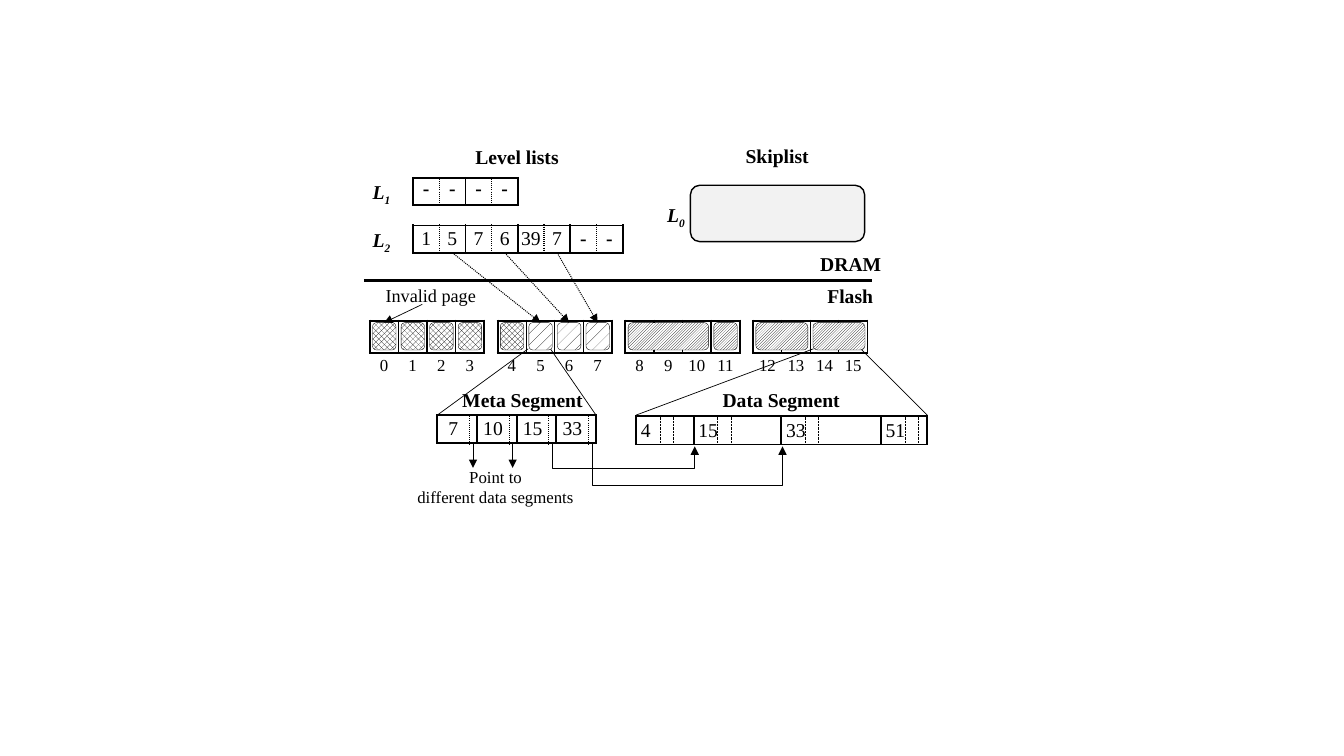
from itertools import accumulate

from lxml.etree import SubElement
from pptx import Presentation
from pptx.dml.color import RGBColor
from pptx.enum.dml import MSO_LINE_DASH_STYLE as Dash, MSO_PATTERN_TYPE as Pattern
from pptx.enum.shapes import MSO_CONNECTOR as Connector, MSO_SHAPE as Shape
from pptx.enum.text import MSO_ANCHOR as Anchor, MSO_AUTO_SIZE as AutoSize, PP_ALIGN as Align
from pptx.oxml.ns import qn
from pptx.util import Cm, Pt

BLACK = RGBColor(0, 0, 0)
WHITE = RGBColor(255, 255, 255)
LIGHT_GRAY = RGBColor(0xF2, 0xF2, 0xF2)
FONT = "Times New Roman"

FLASH_LEFT, FLASH_TOP = 9.32, 8.08
PAGE_WIDTH, BLOCK_STEP, PAGES_PER_BLOCK = 0.72, 3.22, 4
META_LEFT, DATA_LEFT, SEGMENT_TOP = 11.02, 16.03, 10.46
SEGMENT_HEIGHT = 0.71
DATA_WIDTHS = [1.45, 2.21, 2.51, 1.17]
SOLID = (1.5, "solid")
FILLED_RUNS = [
    ("openDmnd", 1, [0, 1, 2, 3, 4]),
    ("pct10", 1, [5, 6, 7]),
    ("ltUpDiag", 3, [8]),
    ("ltUpDiag", 1, [11]),
    ("ltUpDiag", 2, [12, 14]),
]


def style_font(font, size, bold=False, italic=False):
    """Apply the diagram's font."""
    font.name, font.size, font.bold, font.italic = FONT, Pt(size), bold, italic
    font.color.rgb = BLACK


def add_label(slide, left, top, width, text, size=14, bold=True, subscript="",
              height=0.86, align=Align.LEFT, wrap=False):
    """Add a text label, with an optional italic subscript form."""
    box = slide.shapes.add_textbox(Cm(left), Cm(top), Cm(width), Cm(height))
    frame = box.text_frame
    frame.word_wrap = wrap
    frame.auto_size = AutoSize.SHAPE_TO_FIT_TEXT
    frame.text = text
    for paragraph in frame.paragraphs:
        paragraph.alignment = align
        style_font(paragraph.font, size, bold, bool(subscript))
    if subscript:
        run = frame.paragraphs[0].add_run()
        run.text = subscript
        run._r.get_or_add_rPr().set("baseline", "-25000")


def add_line(slide, start, end, width=0.5, dotted=False, arrow=False, kind=Connector.STRAIGHT):
    """Connect two points given in centimetres."""
    line = slide.shapes.add_connector(kind, *(Cm(value) for value in (*start, *end)))
    line.line.width = Pt(width)
    line.line.color.rgb = BLACK
    if dotted:
        line.line.dash_style = Dash.ROUND_DOT
    if arrow:
        SubElement(line._element.spPr.find(qn("a:ln")), qn("a:tailEnd"), type="triangle")
    SubElement(line._element.spPr, qn("a:effectLst"))
    return line


def add_elbow_arrow(slide, start, end, bend_y):
    """Add an arrow that goes down to bend_y, across, and up to its end."""
    (x1, y1), (x2, y2) = start, end
    middle_x, middle_y = (x1 + x2) / 2, (y1 + y2) / 2
    half_width, half_height = (y2 - y1) / 2, (x2 - x1) / 2
    arrow = add_line(slide, (middle_x + half_width, middle_y - half_height),
                     (middle_x - half_width, middle_y + half_height),
                     arrow=True, kind=Connector.ELBOW)
    properties = arrow._element.spPr
    properties.find(qn("a:xfrm")).set("rot", "16200000")
    adjustments = properties.find(qn("a:prstGeom")).find(qn("a:avLst"))
    ratio = round((bend_y - y1) / (y2 - y1) * 100000)
    SubElement(adjustments, qn("a:gd"), name="adj1", fmla=f"val {ratio}")


def set_borders(cell, left, right, edge):
    """Set the four borders of a cell; None hides one."""
    properties = cell._tc.get_or_add_tcPr()
    for index, (side, border) in enumerate(zip("LRTB", (left, right, edge, edge))):
        line = SubElement(properties, qn(f"a:ln{side}"))
        properties.insert(index, line)
        if border is None:
            SubElement(line, qn("a:noFill"))
            continue
        width, dash = border
        line.set("w", str(int(Pt(width))))
        fill = SubElement(line, qn("a:solidFill"))
        SubElement(fill, qn("a:srgbClr"), val=str(BLACK))
        SubElement(line, qn("a:prstDash"), val=dash)


def add_row(slide, left, top, height, widths, texts, rules, size=14, bold=False,
            anchor=Anchor.MIDDLE, align=Align.CENTER, indent=0):
    """Add a one-row table whose vertical rules are listed from left to right."""
    frame = slide.shapes.add_table(1, len(widths), Cm(left), Cm(top), Cm(sum(widths)), Cm(height))
    table = frame.table
    table.first_row = table.horz_banding = False
    table.rows[0].height = Cm(height)
    for index, (width, text) in enumerate(zip(widths, texts)):
        table.columns[index].width = Cm(width)
        cell = table.cell(0, index)
        cell.margin_left = Cm(indent)
        cell.margin_right = cell.margin_top = cell.margin_bottom = 0
        cell.vertical_anchor = anchor
        cell.text = text
        paragraph = cell.text_frame.paragraphs[0]
        paragraph.alignment = align
        style_font(paragraph.font, size, bold or text == "-")
        cell.fill.background()
        set_borders(cell, rules[index], rules[index + 1], rules[0])


def paired_rules(pairs, dotted_width):
    """Return solid rules around pairs of cells split by a dotted rule."""
    return [SOLID, (dotted_width, "sysDot")] * pairs + [SOLID]


def page_left(page):
    """Return the left edge of a flash page."""
    block, column = divmod(page, PAGES_PER_BLOCK)
    return FLASH_LEFT + block * BLOCK_STEP + column * PAGE_WIDTH


def add_level_lists(slide, left, top):
    """Draw the level lists and their pointers into flash."""
    cell_width, cell_height, list_left = 0.66, 0.69, left + 1.27
    add_label(slide, left + 2.59, top, 2.64, "Level lists")
    levels = [(["-"] * 4, Anchor.TOP), (["1", "5", "7", "6", "39", "7", "-", "-"], Anchor.MIDDLE)]
    for index, (texts, anchor) in enumerate(levels):
        row_top = top + 0.95 + index * 1.2
        add_label(slide, left, row_top - 0.06, 0.99, "L", subscript=str(index + 1))
        add_row(slide, list_left, row_top, cell_height, [cell_width] * len(texts), texts,
                paired_rules(len(texts) // 2, 1), anchor=anchor)
    for pair, page in enumerate([5, 6, 7]):
        add_line(slide, (list_left + cell_width * (2 * pair + 1.5), row_top + cell_height),
                 (page_left(page) + PAGE_WIDTH / 2, FLASH_TOP + 0.05), 0.75, dotted=True, arrow=True)


def add_skiplist(slide, left, top):
    """Draw the skiplist with its label."""
    box = slide.shapes.add_shape(Shape.ROUNDED_RECTANGLE, Cm(left + 0.84), Cm(top + 1.16),
                                 Cm(4.39), Cm(1.42))
    box.shadow.inherit = False
    box.fill.solid()
    box.fill.fore_color.rgb = LIGHT_GRAY
    box.line.color.rgb = BLACK
    box.line.width = Pt(1)
    add_label(slide, left + 1.98, top, 2.11, "Skiplist")
    add_label(slide, left, top + 1.49, 0.99, "L", subscript="0")


def add_divider(slide, left, top, width):
    """Draw the line between DRAM and flash."""
    add_line(slide, (left, top), (left + width, top), 2.25)
    add_label(slide, left + 11.25, top - 0.84, 2.06, "DRAM")
    add_label(slide, left + 11.43, top - 0.02, 1.68, "Flash")


def add_zoom(slide, starts, left, right, top):
    """Draw the two lines that enlarge a page range into a segment."""
    for start, end in zip(starts, (left, right)):
        add_line(slide, (start, FLASH_TOP + 0.71), (end, top))


def add_meta_segment(slide, left, top):
    """Draw the meta segment and its arrows to data segments."""
    key_width, pointer_width = 0.81, 0.19
    step = key_width + pointer_width
    texts = ["7", "", "10", "", "15", "", "33", ""]
    add_zoom(slide, (13.31, 13.87), left, left + 4 * step, top)
    add_label(slide, left + 0.38, top - 0.81, 3.58, "Meta Segment")
    add_row(slide, left, top, SEGMENT_HEIGHT, [key_width, pointer_width] * 4, texts,
            paired_rules(4, 0.5))
    starts = [(left + 0.9 + index * step, top + 0.74) for index in range(4)]
    for x, y in starts[:2]:
        add_line(slide, (x, y), (x, y + 0.59), arrow=True)
    data_cells = list(accumulate(DATA_WIDTHS, initial=DATA_LEFT))
    for index, start in enumerate(starts[2:]):
        add_elbow_arrow(slide, start, (data_cells[index + 1] + 0.03, top + 0.79),
                        top + 1.35 + index * 0.41)
    add_label(slide, left - 0.78, top + 1.17, 4.5, "Point to\ndifferent data segments",
              size=12, bold=False, height=1.27, align=Align.CENTER)


def add_data_segment(slide, left, top):
    """Draw the data segment with its dotted fields."""
    add_zoom(slide, (20.5, 21.69), left, left + sum(DATA_WIDTHS), top)
    add_label(slide, left + 1.93, top - 0.81, 3.48, "Data Segment")
    add_row(slide, left, top + 0.03, SEGMENT_HEIGHT, DATA_WIDTHS, ["4", "15", "33", "51"],
            [SOLID] * 5, align=Align.LEFT, indent=0.12)
    for cell_left in list(accumulate(DATA_WIDTHS, initial=left))[:-1]:
        for offset in (0.61, 0.94):
            x = cell_left + offset
            add_line(slide, (x, top), (x, top + SEGMENT_HEIGHT), dotted=True)


def add_flash(slide, top):
    """Draw the flash blocks, page numbers and filled pages."""
    widths = [PAGE_WIDTH] * PAGES_PER_BLOCK
    page_rules = [SOLID, *[(1, "solid")] * 3, SOLID]
    for first in range(0, 16, PAGES_PER_BLOCK):
        left = page_left(first)
        numbers = [str(first + offset) for offset in range(PAGES_PER_BLOCK)]
        add_row(slide, left, top + 0.61, 1.04, widths, numbers, [None] * 5, size=12)
        add_row(slide, left, top, 0.81, widths, [""] * 4, page_rules)
    for pattern, span, pages in FILLED_RUNS:
        for page in pages:
            data = slide.shapes.add_shape(
                Shape.ROUNDED_RECTANGLE, Cm(page_left(page) + 0.07), Cm(top + 0.05),
                Cm(span * PAGE_WIDTH - 0.13), Cm(0.69))
            data.shadow.inherit = False
            data.fill.patterned()
            data.fill.pattern = Pattern.from_xml(pattern)
            data.fill.fore_color.rgb, data.fill.back_color.rgb = BLACK, WHITE
            data.line.color.rgb = BLACK
            data.line.width = Pt(0.25)
    add_label(slide, FLASH_LEFT + 0.15, top - 1.04, 3.15, "Invalid page", size=13,
              bold=False, height=0.81, wrap=True)
    add_line(slide, (FLASH_LEFT + 1.32, top - 0.41), (FLASH_LEFT + 0.36, top + 0.05), arrow=True)


def main():
    """Build the slide and save it."""
    presentation = Presentation()
    presentation.slide_width, presentation.slide_height = Cm(33.87), Cm(19.05)
    slide = presentation.slides.add_slide(presentation.slide_layouts[6])
    add_skiplist(slide, 16.56, 3.51)
    add_divider(slide, 9.17, 7.06, 12.8)
    add_level_lists(slide, 9.14, 3.53)
    add_meta_segment(slide, META_LEFT, SEGMENT_TOP)
    add_data_segment(slide, DATA_LEFT, SEGMENT_TOP)
    add_flash(slide, FLASH_TOP)
    presentation.save("out.pptx")


if __name__ == "__main__":
    main()
